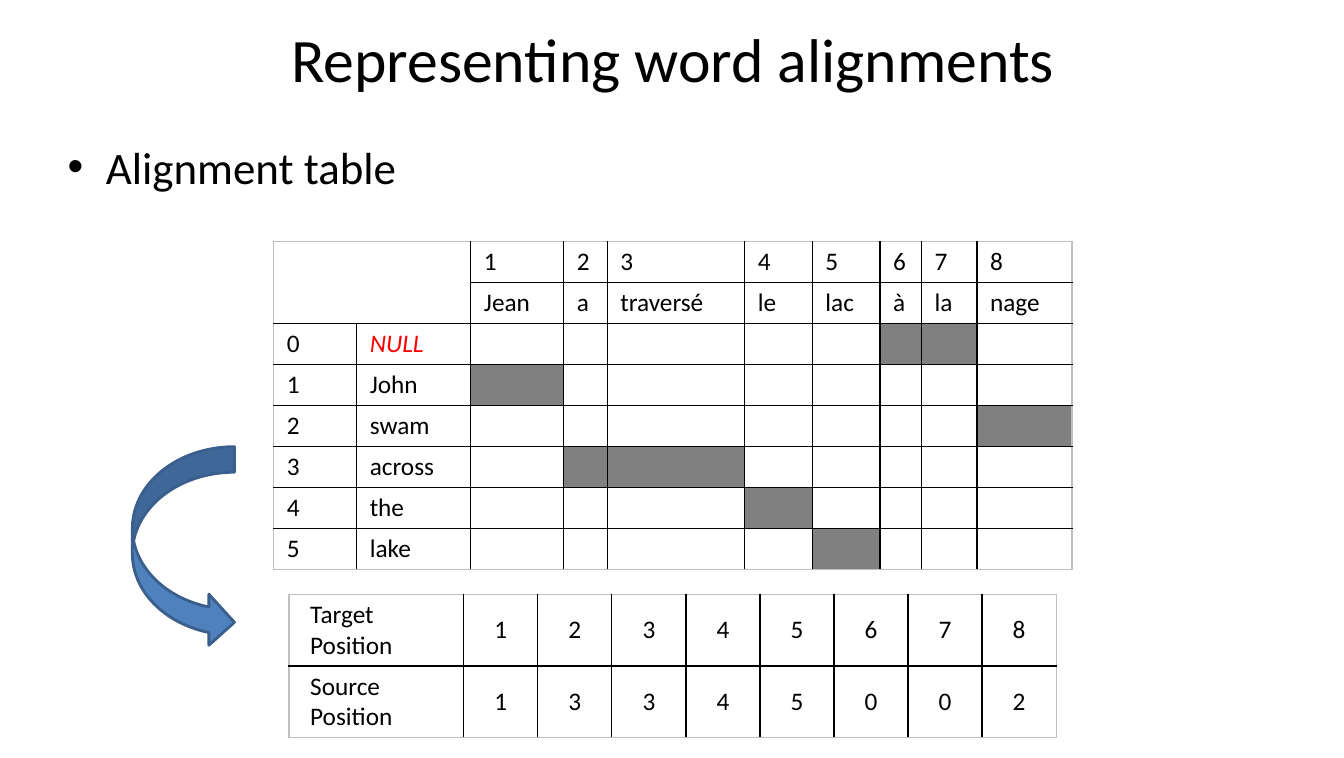
from dataclasses import dataclass

from lxml import etree
from pptx import Presentation
from pptx.dml.color import RGBColor
from pptx.enum.shapes import MSO_SHAPE
from pptx.enum.text import MSO_ANCHOR, PP_ALIGN
from pptx.oxml.ns import qn
from pptx.util import Inches, Pt

BLACK = RGBColor(0x00, 0x00, 0x00)
WHITE = RGBColor(0xFF, 0xFF, 0xFF)
RED = RGBColor(0xFF, 0x00, 0x00)
GREY = RGBColor(0x80, 0x80, 0x80)
PALE = RGBColor(0xBF, 0xBF, 0xBF)
BLUE = RGBColor(0x4F, 0x81, 0xBD)
NAVY = RGBColor(0x3A, 0x5F, 0x8C)
LEFT, CENTER = PP_ALIGN.LEFT, PP_ALIGN.CENTER
TOP, MIDDLE = MSO_ANCHOR.TOP, MSO_ANCHOR.MIDDLE
ARROW = MSO_SHAPE.CURVED_RIGHT_ARROW
FONT = "Calibri"
WIDTH, HEIGHT = Inches(13.3), Inches(7.5)
COLS, ROWS = 133, 75


@dataclass
class Box:
    left: float
    top: float
    width: float
    height: float

    def place(self) -> tuple[int, int, int, int]:
        return across(self.left), down(self.top), across(self.width), down(self.height)


@dataclass
class Entry:
    text: str = ""
    fill: RGBColor = WHITE
    color: RGBColor = BLACK
    italic: bool = False
    align: PP_ALIGN = LEFT
    anchor: MSO_ANCHOR = TOP


@dataclass
class Grid:
    left: float
    top: float
    widths: list[float]
    height: float
    inset: float
    rows: list[list[Entry]]


def across(cols: float) -> int:
    return round(WIDTH * cols / COLS)


def down(rows: float) -> int:
    return round(HEIGHT * rows / ROWS)


def write(frame, text: str, *, size: float = 18, color: RGBColor = BLACK,
          italic: bool = False, align: PP_ALIGN = LEFT, bullet: str = "") -> None:
    para = frame.paragraphs[0]
    para.alignment = align
    para.font.size = Pt(size)
    if text:
        run = para.add_run()
        run.text = text
        font = run.font
        font.name, font.size, font.italic = FONT, Pt(size), italic
        font.color.rgb = color
    if bullet:
        props = para._p.get_or_add_pPr()
        props.set("marL", str(across(3.8)))
        props.set("indent", str(-across(3.8)))
        etree.SubElement(props, qn("a:buFont"), typeface="Arial")
        etree.SubElement(props, qn("a:buChar"), char=bullet)


def add_text(slide, box: Box, text: str, anchor: MSO_ANCHOR, **style) -> None:
    frame = slide.shapes.add_textbox(*box.place()).text_frame
    frame.word_wrap = True
    frame.vertical_anchor = anchor
    write(frame, text, **style)


def edge(cell, side: str, color: RGBColor) -> None:
    props = cell._tc.get_or_add_tcPr()
    line = etree.SubElement(props, qn(f"a:ln{side}"), w=str(Pt(1)))
    fill = etree.SubElement(line, qn("a:solidFill"))
    etree.SubElement(fill, qn("a:srgbClr"), val=str(color))


def add_grid(slide, grid: Grid):
    count, span = len(grid.rows), len(grid.widths)
    box = Box(grid.left, grid.top, sum(grid.widths), grid.height * count)
    table = slide.shapes.add_table(count, span, *box.place()).table
    table.first_row = table.horz_banding = False
    for col, width in zip(table.columns, grid.widths):
        col.width = across(width)
    for y, row in enumerate(grid.rows):
        table.rows[y].height = down(grid.height)
        for x, entry in enumerate(row):
            cell = table.cell(y, x)
            cell.margin_left = cell.margin_right = across(grid.inset)
            cell.vertical_anchor = entry.anchor
            outer = {"L": x == 0, "R": x == span - 1, "T": y == 0, "B": y == count - 1}
            for side, rim in outer.items():
                edge(cell, side, PALE if rim else BLACK)
            cell.fill.solid()
            cell.fill.fore_color.rgb = entry.fill
            write(cell.text_frame, entry.text, color=entry.color,
                  italic=entry.italic, align=entry.align)
    return table


def add_arrow(slide, box: Box) -> None:
    arrow = slide.shapes.add_shape(ARROW, *box.place())
    arrow.shadow.inherit = False
    arrow.fill.solid()
    arrow.fill.fore_color.rgb = BLUE
    arrow.line.color.rgb = NAVY
    arrow.line.width = Pt(2)


TARGET = ["Jean", "a", "traversé", "le", "lac", "à", "la", "nage"]
SOURCE = ["NULL", "John", "swam", "across", "the", "lake"]
LINKS = [1, 3, 3, 4, 5, 0, 0, 2]
SPOTS = range(1, len(TARGET) + 1)


def align_rows() -> list[list[Entry]]:
    rows = [[Entry(), Entry()] + [Entry(str(word)) for word in head]
            for head in (SPOTS, TARGET)]
    for spot, word in enumerate(SOURCE):
        null = spot == 0
        name = Entry(word, color=RED if null else BLACK, italic=null)
        marks = [Entry(fill=GREY if link == spot else WHITE) for link in LINKS]
        rows.append([Entry(str(spot)), name] + marks)
    return rows


def link_rows() -> list[list[Entry]]:
    pairs = [("Target Position", SPOTS), ("Source Position", LINKS)]
    return [[Entry(label)] + [Entry(str(n), align=CENTER, anchor=MIDDLE) for n in nums]
            for label, nums in pairs]


def main() -> None:
    deck = Presentation()
    deck.slide_width, deck.slide_height = WIDTH, HEIGHT
    slide = deck.slides.add_slide(deck.slide_layouts[6])
    add_text(slide, Box(5.7, 13.3, 122.5, 7), "Alignment table", TOP, size=32, bullet="•")
    add_text(slide, Box(0.2, 0.1, 132.8, 11.2), "Representing word alignments", MIDDLE,
             size=44, align=CENTER)
    add_grid(slide, Grid(28.6, 58.8, [17.3] + [7.33] * len(LINKS), 7.1, 2.1, link_rows()))
    add_arrow(slide, Box(13.1, 44.2, 10.1, 19.9))
    widths = [8.2, 11.3, 9.2, 4.3, 13.6, 6.7, 6.7, 4.1, 5.5, 9.4]
    table = add_grid(slide, Grid(27.1, 23.9, widths, 4.06, 1.3, align_rows()))
    table.cell(0, 0).merge(table.cell(1, 1))
    deck.save("out.pptx")


if __name__ == "__main__":
    main()
